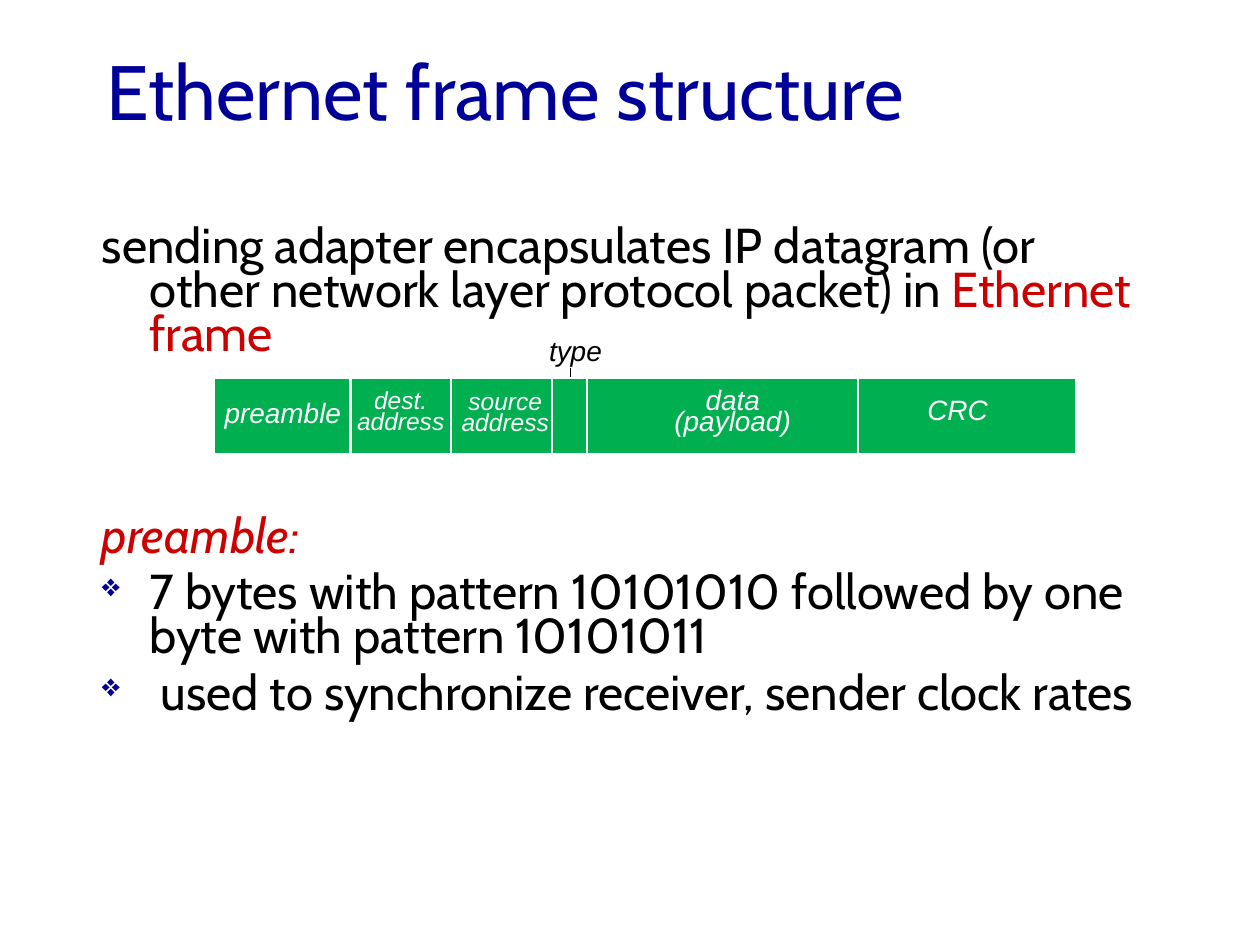
import pptx
import pptx.dml.color
import pptx.enum.shapes
import pptx.enum.text
import pptx.oxml
import pptx.oxml.ns
import pptx.util
from lxml import etree

Inches = pptx.util.Inches
Pt = pptx.util.Pt
Align = pptx.enum.text.PP_ALIGN
Anchor = pptx.enum.text.MSO_ANCHOR

THEME = {
    "navy": "000099", "red": "CC0000", "black": "000000",
    "white": "FFFFFF", "green": "00B050",
    "heading_font": "Cabin", "label_font": "Arial",
    "title_size": 44, "body_size": 28, "field_size": 16, "address_size": 14,
    "divider_width": 1.5, "thin_width": 0.75,
}

TITLE = "Ethernet frame structure"
INTRO = [
    {"runs": [("sending adapter encapsulates IP datagram (or other network layer "
               "protocol packet) in ", "black"), ("Ethernet frame", "red")]},
]
PREAMBLE = [
    {"runs": [("preamble:", "red")], "italic": True},
    {"runs": [("7 bytes with pattern 10101010 followed by one byte with pattern "
               "10101011", "black")], "bullet": True},
    {"runs": [(" used to synchronize receiver, sender clock rates", "black")],
     "bullet": True},
]
BODY_BLOCKS = [((0.71, 1.76, 8.5, 1.2), INTRO), ((0.71, 4.06, 8.5, 2.45), PREAMBLE)]

FRAME = (1.7, 3.0, 6.84, 0.6)
DIVIDERS = [2.78, 3.58, 4.38, 4.66, 6.81]
FIELD_LABELS = [
    (["dest.", "address"], "address_size", (2.72, 3.07, 0.92, 0.44)),
    (["source", "address"], "address_size", (3.55, 3.08, 0.92, 0.44)),
    (["data (payload)"], "field_size", (5.06, 3.09, 1.51, 0.44)),
    (["CRC"], "field_size", (7.13, 3.17, 0.94, 0.27)),
    (["preamble"], "field_size", (1.66, 3.19, 1.17, 0.27)),
]
TYPE_LABEL = (["type"], "field_size", (4.26, 2.6, 0.84, 0.37))
TYPE_POINTER = (4.53, 2.92, 3.14)


def color(name):
    return pptx.dml.color.RGBColor.from_string(THEME[name])


def set_font(font, family, size, color_name=None, italic=False):
    font.name = THEME[family]
    font.size = Pt(THEME[size])
    font.italic = italic
    if color_name:
        font.color.rgb = color(color_name)


def add_text_box(shapes, box):
    text_frame = shapes.add_textbox(*map(Inches, box)).text_frame
    text_frame.word_wrap = True
    return text_frame


def paragraphs_for(text_frame, items):
    for index, item in enumerate(items):
        paragraph = text_frame.add_paragraph() if index else text_frame.paragraphs[0]
        yield index, paragraph, item


def add_bullet(properties):
    make = pptx.oxml.ns.qn
    bullet_color = etree.SubElement(properties, make("a:buClr"))
    etree.SubElement(bullet_color, make("a:srgbClr"), val=THEME["navy"])
    etree.SubElement(properties, make("a:buSzPct"), val="65000")
    etree.SubElement(properties, make("a:buChar"), char="❖")


def add_body(shapes, box, items):
    text_frame = add_text_box(shapes, box)
    for index, paragraph, item in paragraphs_for(text_frame, items):
        paragraph.line_spacing = 0.75
        if index:
            paragraph.space_before = Pt(7)
        properties = paragraph._p.get_or_add_pPr()
        properties.set("marL", str(Inches(0.38)))
        properties.set("indent", str(-Inches(0.38)))
        if item.get("bullet"):
            add_bullet(properties)
        set_font(paragraph.font, "heading_font", "body_size",
                 italic=item.get("italic", False))
        for text, color_name in item["runs"]:
            run = paragraph.add_run()
            run.text = text
            run.font.color.rgb = color(color_name)


def add_label(shapes, label, color_name, centered):
    lines, size, box = label
    text_frame = add_text_box(shapes, box)
    for index, paragraph, line in paragraphs_for(text_frame, lines):
        paragraph.text = line
        if centered:
            paragraph.alignment = Align.CENTER
            paragraph.line_spacing = Pt(12)
        set_font(paragraph.font, "label_font", size, color_name, italic=True)


def add_vertical_line(shapes, x, top, bottom, color_name, width):
    connector = shapes.add_connector(
        pptx.enum.shapes.MSO_CONNECTOR.STRAIGHT,
        Inches(x), Inches(top), Inches(x), Inches(bottom))
    connector.line.color.rgb = color(color_name)
    connector.line.width = Pt(THEME[width])
    etree.SubElement(connector._element.spPr, pptx.oxml.ns.qn("a:effectLst"))


def add_frame_diagram(shapes):
    add_vertical_line(shapes, *TYPE_POINTER, "black", "thin_width")
    frame = shapes.add_shape(
        pptx.enum.shapes.MSO_SHAPE.RECTANGLE, *map(Inches, FRAME))
    frame.shadow.inherit = False
    frame.fill.solid()
    frame.fill.fore_color.rgb = color("green")
    frame.line.color.rgb = color("white")
    frame.line.width = Pt(THEME["thin_width"])
    top, height = FRAME[1], FRAME[3]
    for x in DIVIDERS:
        add_vertical_line(shapes, x, top, top + height, "white", "divider_width")
    for label in FIELD_LABELS:
        add_label(shapes, label, "white", centered=True)
    add_label(shapes, TYPE_LABEL, "black", centered=False)


def main():
    presentation = pptx.Presentation()
    presentation.slide_width = Inches(10)
    presentation.slide_height = Inches(7.5)
    slide = presentation.slides.add_slide(presentation.slide_layouts[6])

    title_frame = add_text_box(slide.shapes, (0.75, 0.38, 8.5, 0.67))
    title_frame.vertical_anchor = Anchor.MIDDLE
    title_paragraph = title_frame.paragraphs[0]
    title_paragraph.text = TITLE
    set_font(title_paragraph.font, "heading_font", "title_size", "navy")

    for box, items in BODY_BLOCKS:
        add_body(slide.shapes, box, items)
    add_frame_diagram(slide.shapes.add_group_shape().shapes)
    presentation.save("out.pptx")


if __name__ == "__main__":
    main()
